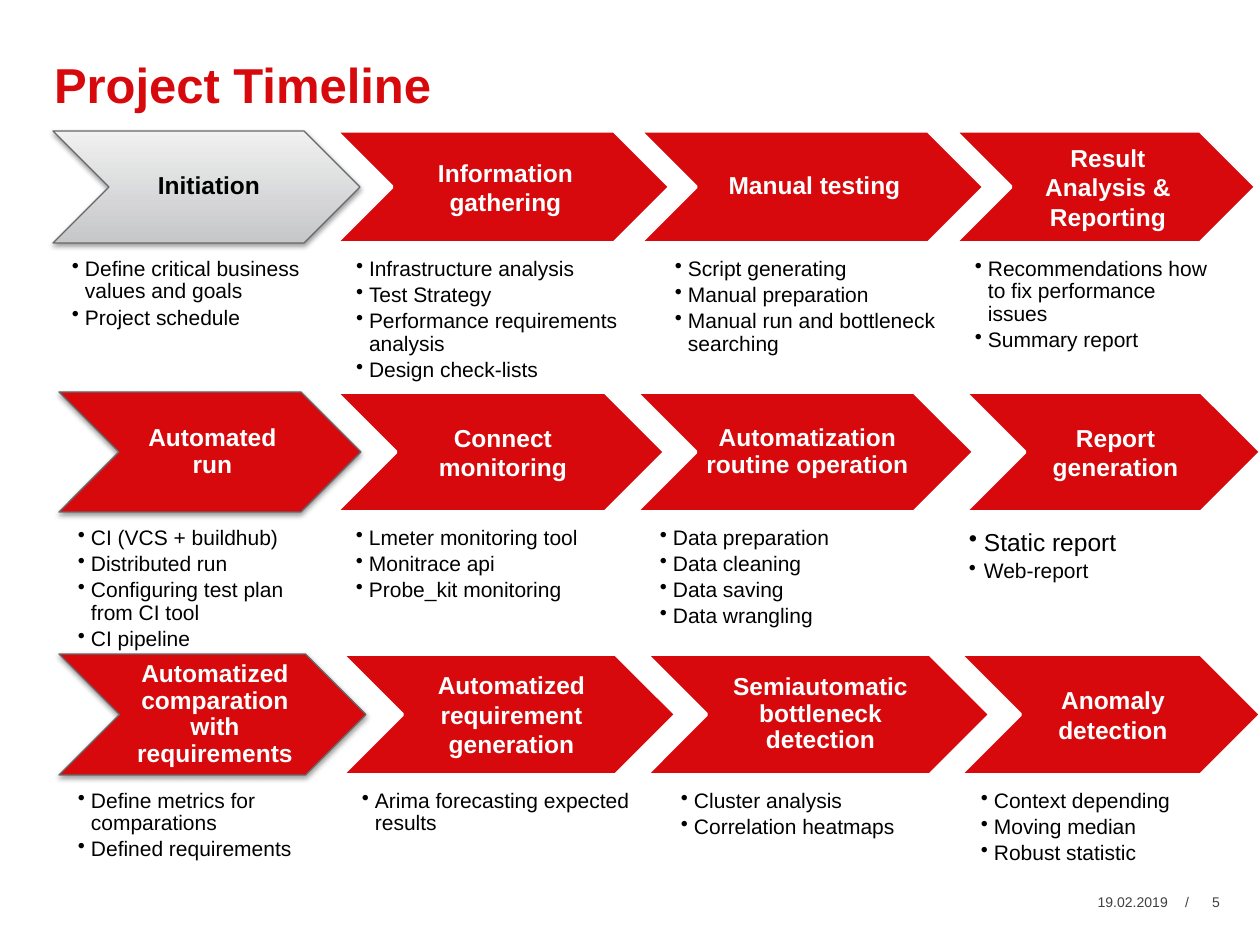
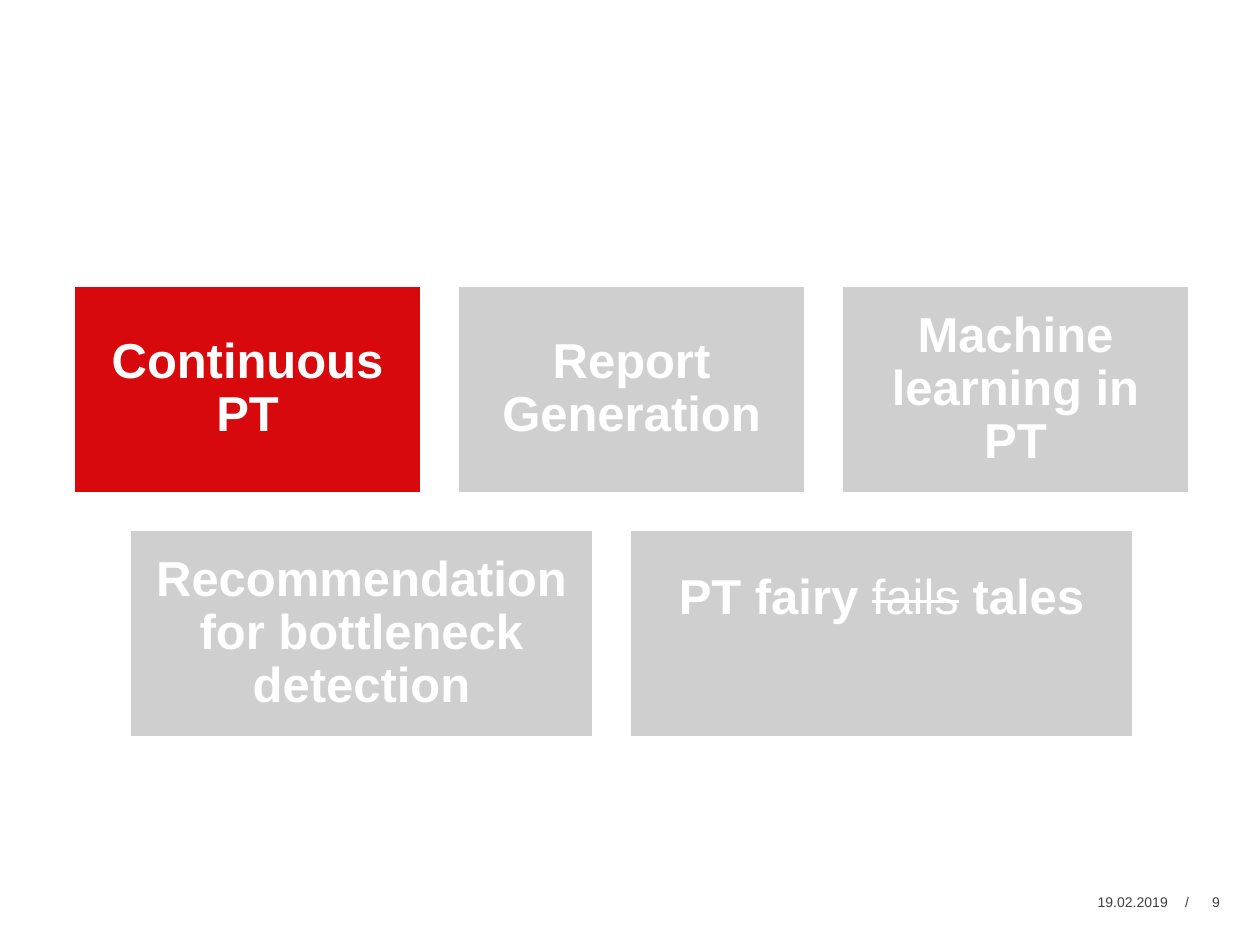
import pptx
import pptx.util
import pptx.dml.color
import pptx.enum.shapes
import pptx.enum.text
import lxml.etree
from pptx.oxml.ns import qn

FONT = "Arial"
COLORS = {
    "red": "D7090C", "gray": "CFCFCF", "white": "FFFFFF", "black": "000000",
    "edge": "67686B", "foot": "414042", "dark": "C6C7C9", "light": "F0F0F0",
}
SCALE = 914400 / 126
SIZE = (1260, 945)

TITLE = "Project Timeline"
DATE = "19.02.2019"
PAGES = ("5", "9")

# Row: top, height; step: left, width, line spacing, label, list left, list width, items
STEPS = [
    (131, 112, [
        (53, 307, 0.9, "Initiation", 72, 247,
         ["Define critical business values and goals", "Project schedule"]),
        (336, 334, 1, "Information gathering", 356, 284,
         ["Infrastructure analysis", "Test Strategy",
          "Performance requirements analysis", "Design check-lists"]),
        (640, 344, 0.9, "Manual testing", 675, 270,
         ["Script generating", "Manual preparation",
          "Manual run and bottleneck searching"]),
        (955, 301, 1, "Result Analysis & Reporting", 975, 242,
         ["Recommendations how to fix performance issues", "Summary report"]),
    ]),
    (392, 120, [
        (59, 302, 0.9, "Automated run", 78, 243,
         ["CI (VCS + buildhub)", "Distributed run",
          "Configuring test plan from CI tool", "CI pipeline"]),
        (336, 329, 1, "Connect monitoring", 356, 280,
         ["Lmeter monitoring tool", "Monitrace api", "Probe_kit monitoring"]),
        (636, 338, 0.9, "Automatization routine operation", 660, 280,
         ["Data preparation", "Data cleaning", "Data saving", "Data wrangling"]),
        (965, 296, 1, "Report generation", 969, 280,
         [("Static report", 14, 1), "Web-report"]),
    ]),
    (654, 121, [
        (59, 307, 0.9, "Automatized comparation with requirements", 78, 247,
         ["Define metrics for comparations", "Defined requirements"]),
        (342, 334, 1, "Automatized requirement generation", 362, 284,
         ["Arima forecasting expected results"]),
        (646, 344, 0.9, "Semiautomatic bottleneck detection", 681, 270,
         ["Cluster analysis", "Correlation heatmaps"]),
        (960, 301, 1, "Anomaly detection", 981, 242,
         ["Context depending", "Moving median", "Robust statistic"]),
    ]),
]

# Tile: width, fill, bottom inset, runs as (text, struck)
TILES = [
    [(349, "red", 15, [("Continuous PT", False)]),
     (349, "gray", 15, [("Report Generation", False)]),
     (349, "gray", 15, [("Machine learning in PT", False)])],
    [(465, "gray", 15, [("Recommendation for bottleneck detection", False)]),
     (505, "gray", 85, [("PT fairy ", False), ("fails", True), (" tales", False)])],
]
TILE_TOP, TILE_HIGH, TILE_GAP, TILE_MID = 285, 209, 35, 631

ALIGN = pptx.enum.text.PP_ALIGN
ANCHOR = pptx.enum.text.MSO_ANCHOR
SHAPE = pptx.enum.shapes.MSO_SHAPE


def px(num):
    return pptx.util.Emu(round(num * SCALE))


def color(name):
    return pptx.dml.color.RGBColor.from_string(COLORS[name])


def frame(shape, anchor, pads=(0, 0, 0, 0)):
    """Set wrap, anchor and insets (left, top, right, bottom)."""
    body = shape.text_frame
    body.word_wrap = True
    body.vertical_anchor = anchor
    (body.margin_left, body.margin_top,
     body.margin_right, body.margin_bottom) = map(px, pads)
    return body


def add_run(para, text, size, ink, bold=False, struck=False):
    run = para.add_run()
    run.text = text
    font = run.font
    font.name, font.size, font.bold = FONT, pptx.util.Pt(size), bold
    font.color.rgb = color(ink)
    if struck:
        run._r.get_or_add_rPr().set("strike", "sngStrike")


def add_text(slide, box, anchor=ANCHOR.TOP):
    return frame(slide.shapes.add_textbox(*map(px, box)), anchor)


def add_block(slide, kind, box, fill, pads, spacing):
    """Add a white-edged shape; return it with its centred paragraph."""
    shape = slide.shapes.add_shape(kind, *map(px, box))
    shape.shadow.inherit = False
    shape.fill.solid()
    shape.fill.fore_color.rgb = color(fill)
    shape.line.color.rgb = color("white")
    shape.line.width = pptx.util.Pt(2)
    para = frame(shape, ANCHOR.MIDDLE, pads).paragraphs[0]
    para.alignment = ALIGN.CENTER
    para.line_spacing = spacing
    return shape, para


def raise_edge(shape):
    """Give the first step of a row a gray edge and a soft shadow."""
    shape.line.color.rgb = color("edge")
    shape.line.width = pptx.util.Pt(0.75)
    effects = shape._element.spPr.find(qn("a:effectLst"))
    shade = lxml.etree.SubElement(
        effects, qn("a:outerShdw"), blurRad="39400", distKm="0")
    del shade.attrib["distKm"]
    shade.set("dist", "20300")
    shade.set("dir", "5400000")
    shade.set("rotWithShape", "0")
    tint = lxml.etree.SubElement(shade, qn("a:srgbClr"), val=COLORS["black"])
    lxml.etree.SubElement(tint, qn("a:alpha"), val="38000")


def fade(shape):
    shape.fill.gradient()
    shape.fill.gradient_angle = 90
    for stop, name, place in zip(shape.fill.gradient_stops, ("dark", "light"), (0, 1)):
        stop.color.rgb = color(name)
        stop.position = place


def add_list(slide, box, items):
    body = add_text(slide, box)
    lead = items[0][1] if isinstance(items[0], tuple) else 12
    dent = px(lead + 1)
    for num, item in enumerate(items):
        text, size, spacing = item if isinstance(item, tuple) else (item, 12, 0.9)
        para = body.add_paragraph() if num else body.paragraphs[0]
        para.line_spacing = spacing
        para.space_after = pptx.util.Pt(2)
        props = para._p.get_or_add_pPr()
        props.set("marL", str(dent))
        props.set("indent", str(-dent))
        lxml.etree.SubElement(props, qn("a:buChar"), char="•")
        add_run(para, text, size, "black")


def add_footer(slide, page):
    for text, left, width in ((DATE, 1082, 86), ("/", 1170, 19), (page, 1190, 30)):
        para = add_text(slide, (left, 887, width, 30), ANCHOR.MIDDLE).paragraphs[0]
        para.alignment = ALIGN.RIGHT
        add_run(para, text, 8, "foot")


def draw_steps(slide):
    head = add_text(slide, (54, 55, 1116, 103)).paragraphs[0]
    add_run(head, TITLE, 28, "red", bold=True)
    for row, (top, high, steps) in enumerate(STEPS):
        for col, (left, wide, spacing, label, x, span, items) in enumerate(steps):
            shape, para = add_block(slide, SHAPE.CHEVRON, (left, top, wide, high),
                                    "red", (8, 3, 3, 3), spacing)
            start = row == col == 0
            if col == 0:
                raise_edge(shape)
            if start:
                fade(shape)
            add_run(para, label, 14, "black" if start else "white", bold=True)
            add_list(slide, (x, top + high + 15, span, 120 if row < 2 else 73), items)


def draw_tiles(slide):
    for row, tiles in enumerate(TILES):
        total = sum(tile[0] for tile in tiles) + TILE_GAP * (len(tiles) - 1)
        left = TILE_MID - total // 2
        top = TILE_TOP + row * (TILE_HIGH + TILE_GAP)
        for wide, fill, low, runs in tiles:
            para = add_block(slide, SHAPE.RECTANGLE, (left, top, wide, TILE_HIGH),
                             fill, (15, 15, 15, low), 0.9)[1]
            for text, struck in runs:
                add_run(para, text, 28, "white", not struck, struck)
            left += wide + TILE_GAP


def main():
    deck = pptx.Presentation()
    deck.slide_width, deck.slide_height = map(px, SIZE)
    for draw, page in zip((draw_steps, draw_tiles), PAGES):
        slide = deck.slides.add_slide(deck.slide_layouts[6])
        draw(slide)
        add_footer(slide, page)
    deck.save("out.pptx")


if __name__ == "__main__":
    main()
